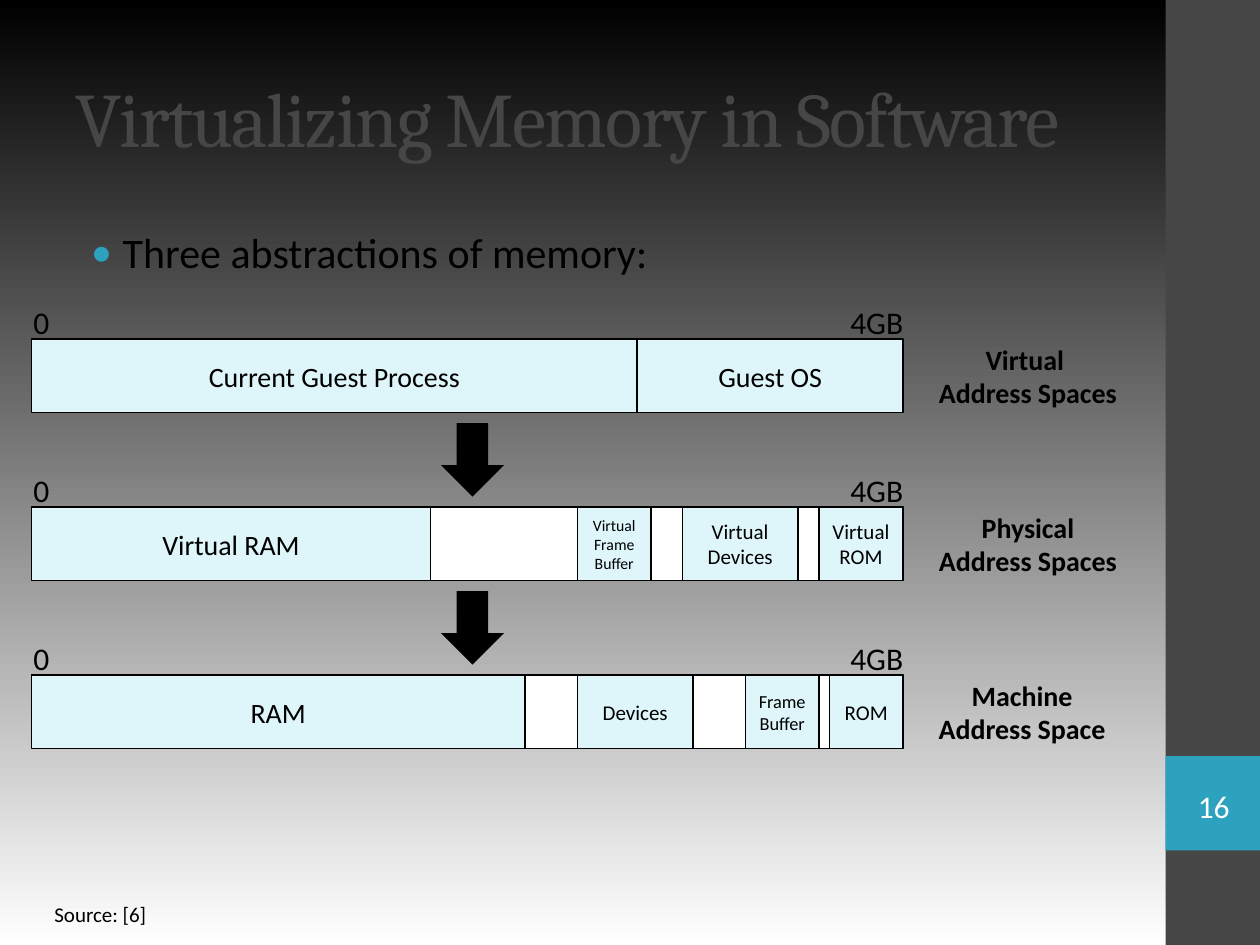
from lxml import etree
from pptx import Presentation
from pptx.dml.color import RGBColor
from pptx.enum.shapes import MSO_SHAPE
from pptx.enum.text import MSO_ANCHOR, MSO_AUTO_SIZE, PP_ALIGN
from pptx.oxml.ns import qn
from pptx.util import Pt

RECT, ARROW = MSO_SHAPE.RECTANGLE, MSO_SHAPE.DOWN_ARROW
TOP, MID = MSO_ANCHOR.TOP, MSO_ANCHOR.MIDDLE
LEFT, MIDDLE = PP_ALIGN.LEFT, PP_ALIGN.CENTER
GROW, FIXED = MSO_AUTO_SIZE.SHAPE_TO_FIT_TEXT, MSO_AUTO_SIZE.NONE
BLACK = RGBColor(0x00, 0x00, 0x00)
WHITE = RGBColor(0xFF, 0xFF, 0xFF)
GRAY = RGBColor(0x46, 0x46, 0x46)
TEAL = RGBColor(0x2D, 0xA2, 0xBF)
PALE = RGBColor(0xDE, 0xF5, 0xFA)
SCALE = 914400 // 120
BAR_X, BAR_W, BAR_H = 30, 830, 70
ROW_Y, STEP = 323, 160

ROWS = [
    (False, "Virtual \nAddress Spaces", 198,
     [(0, 577, "Current Guest Process", 16), (577, 253, "Guest OS", 16)]),
    (True, "Physical\nAddress Spaces", 198,
     [(0, 380, "Virtual RAM", 16), (520, 70, "Virtual\nFrame\nBuffer", 9),
      (620, 110, "Virtual\nDevices", 12), (750, 80, "Virtual\nROM", 12)]),
    (True, "Machine\nAddress Space", 187,
     [(0, 470, "RAM", 16), (520, 110, "Devices", 12),
      (680, 70, "Frame\nBuffer", 10.5), (760, 70, "ROM", 12)]),
]


def emu(*box):
    """Turn px lengths into EMU."""
    return [n * SCALE for n in box]


def write(frame, text, size=16, font="Calibri", color=BLACK, bold=False,
          align=LEFT, anchor=TOP, wrap=True, fit=FIXED):
    """Fill a text frame with one paragraph for each line of text."""
    frame.word_wrap = wrap
    frame.auto_size = fit
    frame.vertical_anchor = anchor
    for i, line in enumerate(text.split("\n")):
        para = frame.add_paragraph() if i else frame.paragraphs[0]
        para.alignment = align
        run = para.add_run()
        run.text = line
        run.font.size = Pt(size)
        run.font.name = font
        run.font.bold = bold
        run.font.color.rgb = color
    return frame


def label(slide, box, text, **form):
    """Add a text box and return its frame."""
    return write(slide.shapes.add_textbox(*emu(*box)).text_frame, text, **form)


def block(slide, box, fill, kind=RECT, line=None):
    """Add a flat shape with an optional outline."""
    shape = slide.shapes.add_shape(kind, *emu(*box))
    shape.shadow.inherit = False
    shape.fill.solid()
    shape.fill.fore_color.rgb = fill
    if line is None:
        shape.line.fill.background()
    else:
        shape.line.color.rgb = line
        shape.line.width = Pt(1)
    return shape


def backdrop(slide):
    """Paint the gradient from black at the top to white at the bottom."""
    fill = slide.background.fill
    fill.gradient()
    fill.gradient_angle = 270
    for stop, color, pos in zip(fill.gradient_stops, (BLACK, WHITE), (0, 1)):
        stop.color.rgb = color
        stop.position = pos


def sidebar(slide, x, y, w, h):
    """Draw the right strip with the slide number."""
    block(slide, (x, y, w, h), GRAY)
    block(slide, (x, y + 720, w, w), TEAL)
    frame = label(slide, (x + 10, y + 742, 72, 51), "16", size=18,
                  color=WHITE, align=MIDDLE, anchor=MID)
    frame.margin_left = frame.margin_right = 0
    frame.margin_top = frame.margin_bottom = 0


def heading(slide, x, y, w, h):
    """Place the title and the bullet below it."""
    title = label(slide, (x, y, w, 150), "Virtualizing Memory in Software",
                  size=44, font="Cambria", color=GRAY, anchor=MID)
    title.paragraphs[0].runs[0].font._element.set("spc", "-100")
    body = label(slide, (x, y + 174, w, h - 174),
                 "Three abstractions of memory:", size=24)
    para = body.paragraphs[0]
    para.space_before = Pt(4.8)
    props = para._p.get_or_add_pPr()
    props.set("marL", str(45 * SCALE))
    props.set("indent", str(-30 * SCALE))
    tint = etree.SubElement(props, qn("a:buClr"))
    etree.SubElement(tint, qn("a:srgbClr"), val=str(TEAL))
    etree.SubElement(props, qn("a:buFont"), typeface="Calibri")
    etree.SubElement(props, qn("a:buChar"), char="•")


def memory(slide, x, y, w, h, gaps, name, wide, parts):
    """Draw one address space with its scale, parts and name."""
    if gaps:
        block(slide, (x, y, w, h), WHITE, line=BLACK)
    label(slide, (x - 10, y - 40, 38, 48), "0", size=18, wrap=False, fit=GROW)
    label(slide, (x + w - 62, y - 40, 78, 48), "4GB", size=18, wrap=False,
          fit=GROW)
    label(slide, (x + w + 20, y - 3, wide, 76), name, bold=True,
          align=MIDDLE, wrap=False, fit=GROW)
    for left, span, text, size in parts:
        part = block(slide, (x + left, y, span, h), PALE, line=BLACK)
        write(part.text_frame, text, size=size, align=MIDDLE, anchor=MID)


def main():
    """Build and save the slide."""
    deck = Presentation()
    deck.slide_width, deck.slide_height = emu(1200, 900)
    slide = deck.slides.add_slide(deck.slide_layouts[6])
    backdrop(slide)
    sidebar(slide, 1110, 0, 90, 900)
    heading(slide, 60, 36, 1000, 804)
    for i, row in enumerate(ROWS):
        y = ROW_Y + i * STEP
        memory(slide, BAR_X, y, BAR_W, BAR_H, *row)
        if i:
            block(slide, (420, y - 80, 60, 70), BLACK, kind=ARROW)
    label(slide, (40, 853, 1020, 36), "Source: [6]", size=12, fit=GROW)
    deck.save("out.pptx")


if __name__ == "__main__":
    main()
